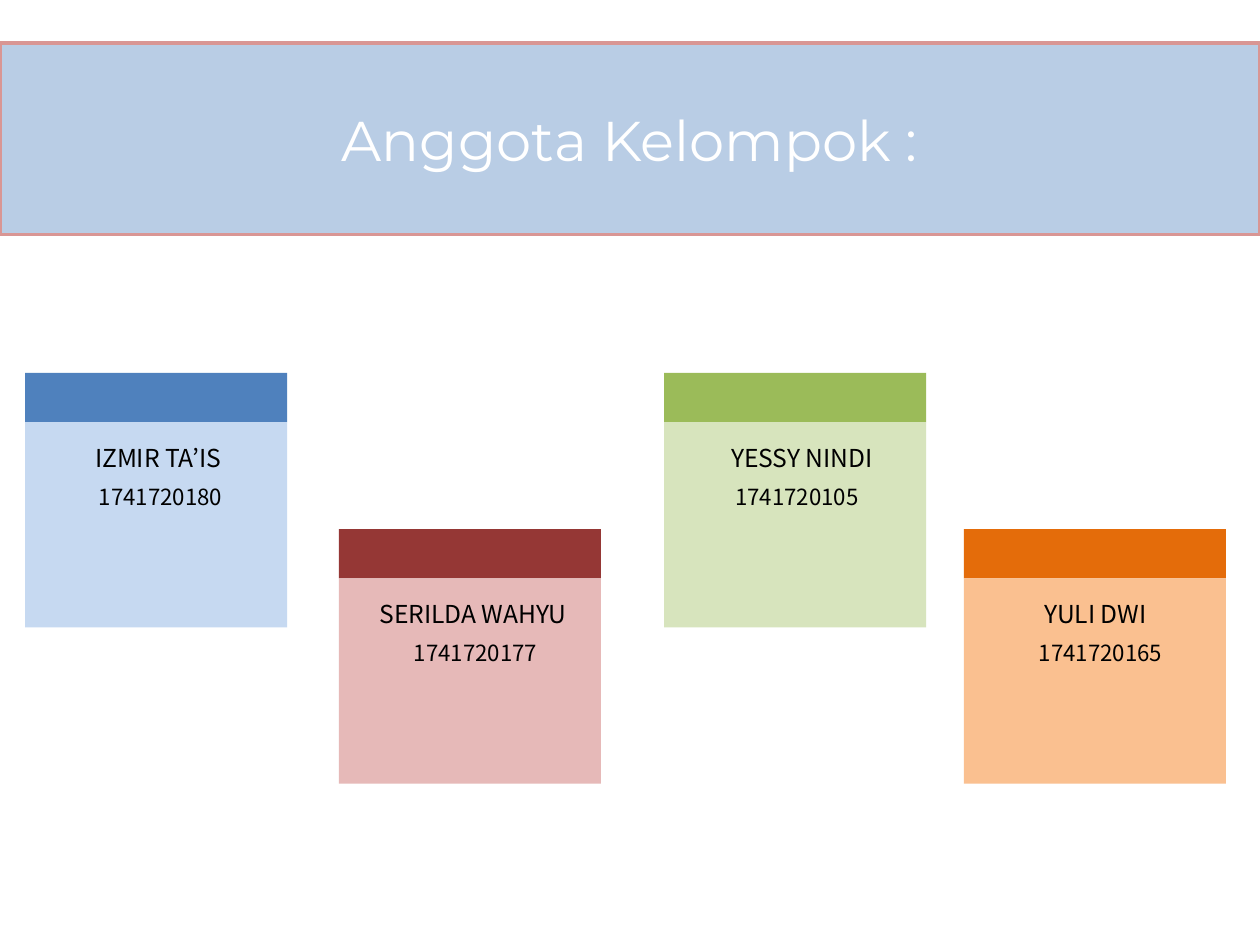
from dataclasses import dataclass

from pptx import Presentation
from pptx.dml.color import RGBColor
from pptx.enum.shapes import MSO_SHAPE
from pptx.enum.text import MSO_ANCHOR as ANCHOR, PP_ALIGN as ALIGN
from pptx.util import Inches, Pt

BODY_FONT = "Noto Sans CJK KR"
CARD_W, HEAD_H, BODY_H = 2.08, 0.39, 1.63
UPPER, LOWER = 2.96, 4.2


@dataclass
class Member:
    name: str
    number: str
    x: float
    y: float
    dark: str
    light: str
    name_x: float
    number_x: float
    name_w: float = 1.89


MEMBERS = [
    Member("IZMIR TA’IS", "1741720180", 0.2, UPPER, "4F81BD", "C6D9F1", 0.3, 0.46),
    Member("SERILDA WAHYU", "1741720177", 2.69, LOWER, "953735", "E6B9B8", 2.8, 2.96),
    Member("YESSY NINDI", "1741720105", 5.27, UPPER, "9BBB59", "D7E4BD", 5.46, 5.51, 1.79),
    Member("YULI DWI", "1741720165", 7.65, LOWER, "E46C0A", "FAC090", 7.74, 7.92),
]


def rgb(value: str) -> RGBColor:
    return RGBColor.from_string(value)


def add_rect(shapes, x: float, y: float, w: float, h: float, fill: str):
    sp = shapes.add_shape(MSO_SHAPE.RECTANGLE, Inches(x), Inches(y), Inches(w), Inches(h))
    sp.shadow.inherit = False
    sp.fill.solid()
    sp.fill.fore_color.rgb = rgb(fill)
    sp.line.fill.background()
    return sp


def write(sp, text: str, size: float, font: str, color: str):
    tf = sp.text_frame
    tf.word_wrap = True
    tf.vertical_anchor = ANCHOR.MIDDLE
    p = tf.paragraphs[0]
    p.alignment = ALIGN.CENTER
    r = p.add_run()
    r.text = text
    for key, value in {"size": Pt(size), "name": font}.items():
        setattr(r.font, key, value)
    r.font.color.rgb = rgb(color)
    return tf


def add_label(shapes, text: str, x: float, y: float, w: float, h: float, size: float) -> None:
    sp = shapes.add_textbox(Inches(x), Inches(y), Inches(w), Inches(h))
    tf = write(sp, text, size, BODY_FONT, "000000")
    margins = {"margin_left": 0.1, "margin_top": 0.04, "margin_right": 0.08, "margin_bottom": 0.04}
    for key, value in margins.items():
        setattr(tf, key, Inches(value))
    tf.paragraphs[0].space_before = Pt(round(size * 0.2, 1))


def add_card(shapes, m: Member) -> None:
    group = shapes.add_group_shape()
    add_rect(group.shapes, m.x, m.y, CARD_W, HEAD_H, m.dark)
    add_rect(group.shapes, m.x, m.y + HEAD_H, CARD_W, BODY_H, m.light)
    add_label(shapes, m.name, m.name_x, m.y + 0.49, m.name_w, 0.36, 14.1)
    add_label(shapes, m.number, m.number_x, m.y + 0.86, 1.61, 0.24, 12.7)


def main() -> None:
    prs = Presentation()
    prs.slide_width, prs.slide_height = Inches(10), Inches(7.5)
    shapes = prs.slides.add_slide(prs.slide_layouts[6]).shapes
    for m in MEMBERS:
        add_card(shapes, m)
    banner = add_rect(shapes, 0, 0.34, 10, 1.52, "B9CDE5")
    banner.line.color.rgb = rgb("D99694")
    banner.line.width = Pt(2)
    write(banner, "Anggota Kelompok :", 32, "Montserrat", "FFFFFF")
    prs.save("out.pptx")


if __name__ == "__main__":
    main()
